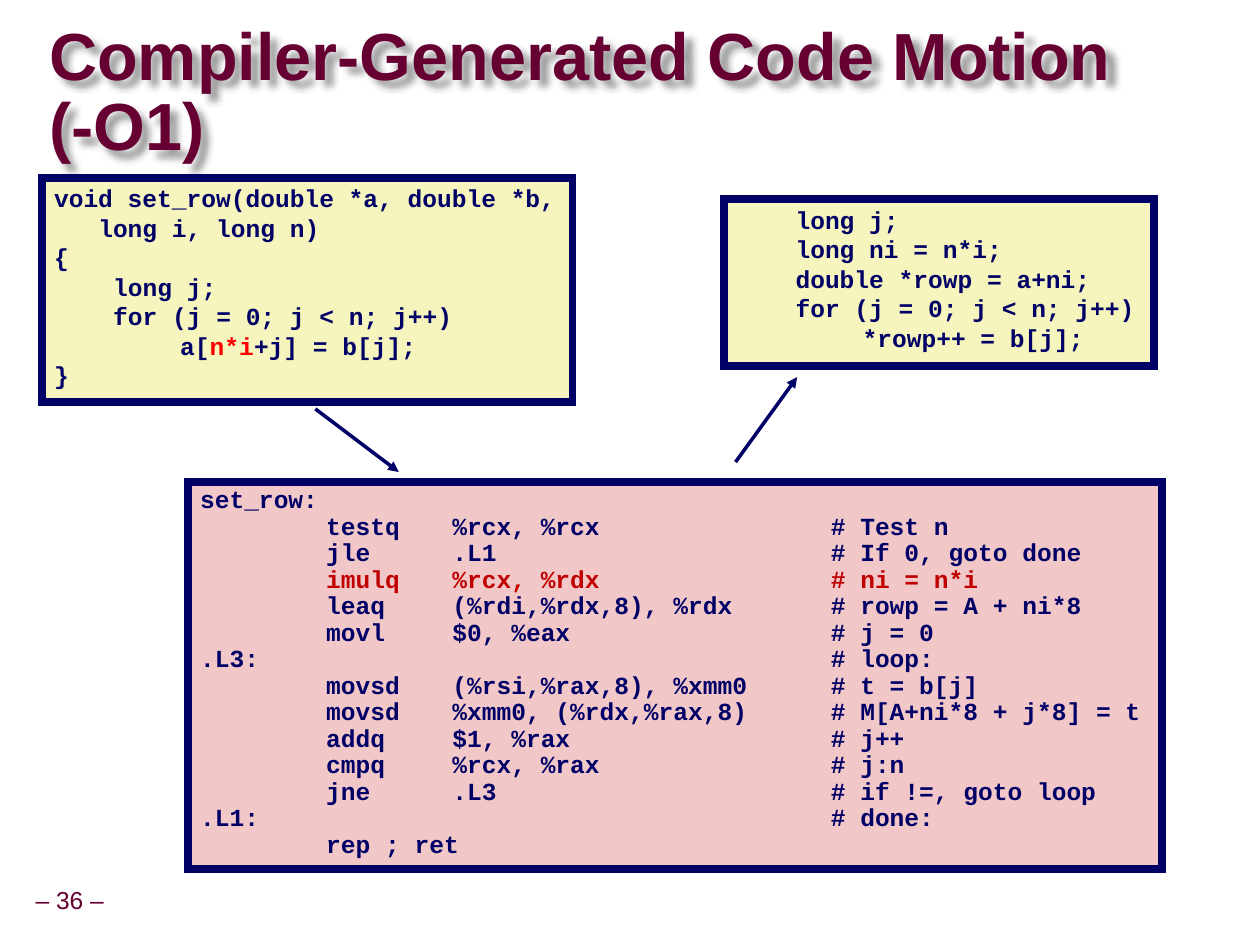
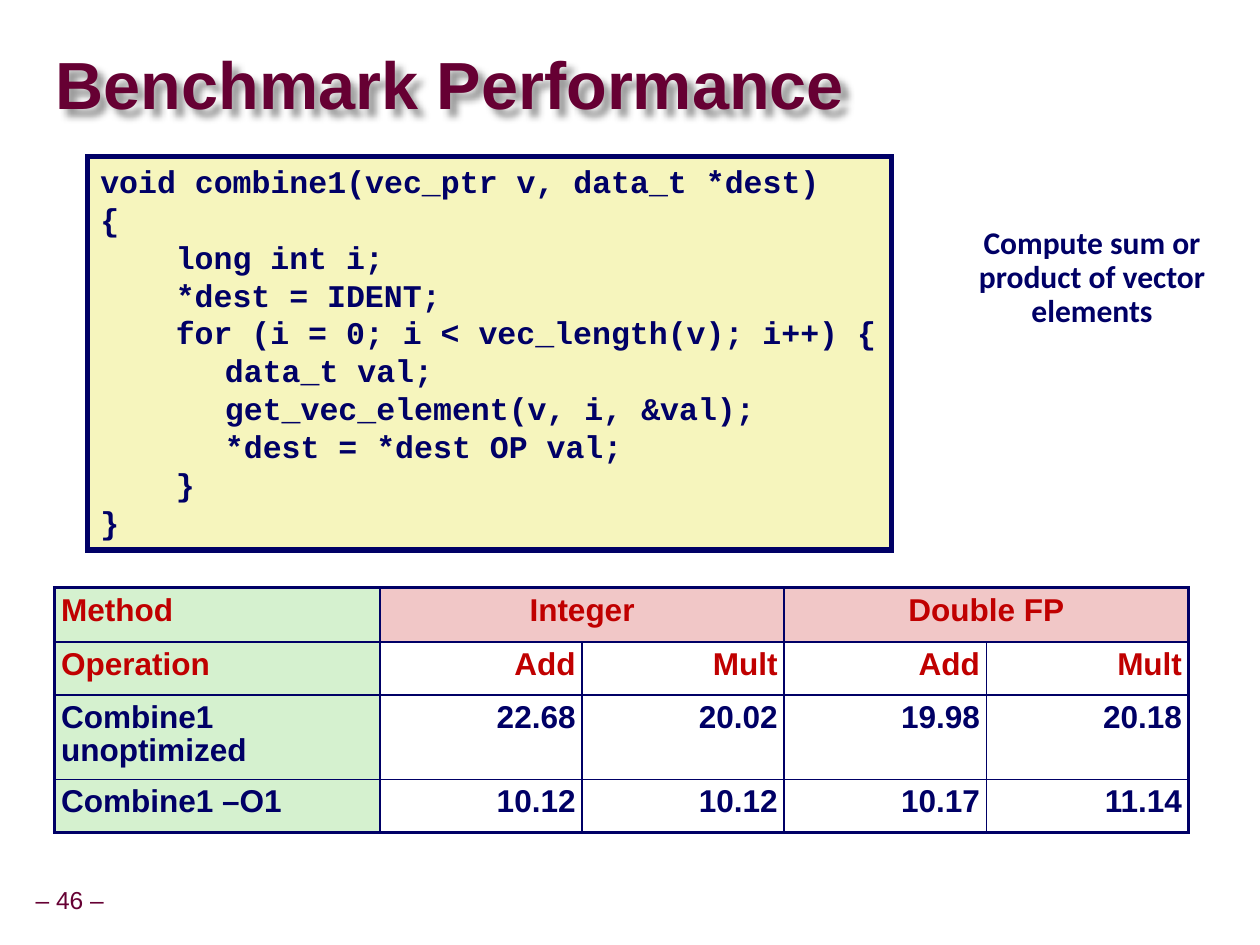
from pptx import Presentation, util as u
from pptx.dml.color import RGBColor
from pptx.enum import shapes, text
from pptx.oxml import parse_xml
from pptx.oxml.ns import nsdecls

NAVY, WINE, RED, HOT = "000066", "660033", "C00000", "FF0000"
CREAM, PINK, MINT, WHITE = "F6F5BD", "F1C7C7", "D5F1CF", "FFFFFF"
LEFT, MID, RIGHT = text.PP_ALIGN.LEFT, text.PP_ALIGN.CENTER, text.PP_ALIGN.RIGHT
TOP, HALF = text.MSO_ANCHOR.TOP, text.MSO_ANCHOR.MIDDLE
TAB = str(int(u.Cm(2.54)))


def hue(code):
    return RGBColor.from_string(code)


def put(item, **vals):
    for key, val in vals.items():
        setattr(item, key, val)


def node(tag, body="", attrs=""):
    return parse_xml(f"<a:{tag} {nsdecls('a')} {attrs}>{body}</a:{tag}>")


def cms(*vals):
    return [u.Cm(val) for val in vals]


class Deck:
    """Holds the shared style and the current slide."""

    def __init__(self):
        self.prs = Presentation()
        put(self.prs, slide_width=u.Cm(25.37), slide_height=u.Cm(19.02))
        for root in (self.prs.element, self.prs.slide_master.element):
            for level in root.iter("{*}lvl1pPr"):
                level.set("defTabSz", TAB)

    def page(self, num, title, box):
        self.slide = self.prs.slides.add_slide(self.prs.slide_layouts[5])
        head = self.slide.shapes.title
        put(head, **dict(zip(("left", "top", "width", "height"), cms(*box))))
        self.frame(head.text_frame, (0, 0, 0, 0), HALF)
        self.line(head.text_frame.paragraphs[0], [(title, WINE)], 38, gap=u.Pt(40))
        glow = ('<a:outerShdw blurRad="50800" dist="60000" dir="2700000">'
                '<a:srgbClr val="000000"><a:alpha val="40000"/></a:srgbClr></a:outerShdw>')
        head._element.spPr.append(node("effectLst", glow))
        self.note(f"– {num} –", (0.54, 17.74, 1.73, 0.81), 14, "Arial", WINE,
                  bold=False, wrap=False, anchor=HALF)

    def frame(self, body, pads, anchor=TOP, wrap=True):
        put(body, word_wrap=wrap, auto_size=text.MSO_AUTO_SIZE.NONE, vertical_anchor=anchor)
        sides = ("margin_left", "margin_top", "margin_right", "margin_bottom")
        put(body, **dict(zip(sides, cms(*pads))))

    def line(self, para, runs, size, face="Arial", bold=True, align=LEFT, gap=0.9):
        put(para, alignment=align, line_spacing=gap)
        for words, ink in runs:
            run = para.add_run()
            run.text = words
            put(run.font, size=u.Pt(size), name=face, bold=bold)
            run.font.color.rgb = hue(ink)

    def note(self, words, box, size, face, ink, bold=True, wrap=True, anchor=TOP):
        body = self.slide.shapes.add_textbox(*cms(*box)).text_frame
        self.frame(body, (0.13, 0.13, 0.13, 0.13), anchor, wrap)
        self.line(body.paragraphs[0], [(words, ink)], size, face, bold, MID)

    def code(self, lines, box, size, fill=CREAM, edge=4.5, gap=1.2):
        item = self.slide.shapes.add_shape(shapes.MSO_SHAPE.RECTANGLE, *cms(*box))
        item.shadow.inherit = False
        item.fill.solid()
        item.fill.fore_color.rgb = hue(fill)
        item.line.color.rgb = hue(NAVY)
        item.line.width = u.Pt(edge)
        item.line._get_or_add_ln().append(node("miter", attrs='lim="800000"'))
        body = item.text_frame
        self.frame(body, (0.25, 0.11, 0, 0.13))
        for num, (dent, *runs) in enumerate(lines):
            para = body.add_paragraph() if num else body.paragraphs[0]
            runs = [run if isinstance(run, tuple) else (run, NAVY) for run in runs]
            self.line(para, runs, size, "Courier New", gap=u.Pt(size * gap))
            props = para._p.get_or_add_pPr()
            for key, val in {"marL": u.Cm(dent), "indent": 0, "defTabSz": TAB}.items():
                props.set(key, str(val))

    def arrow(self, *ends):
        item = self.slide.shapes.add_connector(shapes.MSO_CONNECTOR.STRAIGHT, *cms(*ends))
        item.line.color.rgb = hue(NAVY)
        item.line.width = u.Pt(2)
        item.line._get_or_add_ln().append(node("tailEnd", attrs='type="triangle"'))
        item._element.spPr.append(node("effectLst"))

    def edges(self, cell, thick):
        props = cell._tc.get_or_add_tcPr()
        ink = f'<a:solidFill><a:srgbClr val="{NAVY}"/></a:solidFill>'
        for num, side in enumerate("LRTB"):
            wide = u.Pt(2.25 if side in thick else 1)
            props.insert(num, node(f"ln{side}", ink, f'w="{wide}"'))

    def table(self, rows, spot, cols, highs, spans):
        size = cms(sum(cols), sum(highs))
        grid = self.slide.shapes.add_table(len(rows), len(cols), *cms(*spot), *size).table
        put(grid, first_row=False, horz_banding=False)
        for key, part, vals in (("width", grid.columns, cols), ("height", grid.rows, highs)):
            for item, val in zip(part, vals):
                put(item, **{key: u.Cm(val)})
        for row, start, end in spans:
            grid.cell(row, start).merge(grid.cell(row, end))
        for y, row in enumerate(rows):
            for x, words in enumerate(row):
                cell = grid.cell(y, x)
                last = x + (cell.span_width if cell.is_merge_origin else 1) == len(cols)
                cell.fill.solid()
                cell.fill.fore_color.rgb = hue(MINT if x == 0 else WHITE if y else PINK)
                tests = {"L": x == 0, "R": last, "T": y == 0, "B": y == len(rows) - 1}
                self.edges(cell, [side for side, hit in tests.items() if hit])
                sides = ("left", "right", "top", "bottom")
                put(cell, **{f"margin_{side}": u.Cm(0.13) for side in sides})
                if words:
                    align = LEFT if x == 0 else RIGHT if y else MID
                    ink = RED if y < 2 else NAVY
                    self.line(cell.text_frame.paragraphs[0], [(words, ink)], 18,
                              align=align, gap=0.95)


def motion(deck):
    deck.page(36, "Compiler-Generated Code Motion (-O1)", (0.99, 0.84, 22.4, 2.11))
    asm = [
        "set_row:",
        "\ttestq\t%rcx, %rcx\t\t# Test n",
        "\tjle\t.L1\t\t\t# If 0, goto done",
        ("\timulq\t%rcx, %rdx\t\t# ni = n*i", RED),
        "\tleaq\t(%rdi,%rdx,8), %rdx\t# rowp = A + ni*8",
        "\tmovl\t$0, %eax\t\t\t# j = 0",
        ".L3:\t\t\t\t\t# loop:",
        "\tmovsd\t(%rsi,%rax,8), %xmm0\t# t = b[j]",
        "\tmovsd\t%xmm0, (%rdx,%rax,8)\t# M[A+ni*8 + j*8] = t",
        "\taddq\t$1, %rax\t\t\t# j++",
        "\tcmpq\t%rcx, %rax\t\t# j:n",
        "\tjne\t.L3\t\t\t# if !=, goto loop",
        ".L1:\t\t\t\t\t# done:",
        "\trep ; ret",
    ]
    deck.code([(0, row) for row in asm], (3.78, 9.7, 19.61, 7.8), 14, PINK, gap=1.08)
    deck.arrow(6.35, 8.23, 8.03, 9.5)
    deck.arrow(14.81, 9.3, 16.05, 7.59)
    deck.code([
        (1.19, "long j;"),
        (1.19, "long ni = n*i;"),
        (1.19, "double *rowp = a+ni;"),
        (1.19, "for (j = 0; j < n; j++)"),
        (2.54, "*rowp++ = b[j];"),
    ], (14.58, 4.01, 8.66, 3.35), 14)
    deck.code([
        (0, "void set_row(double *a, double *b,"),
        (0.89, "long i, long n)"),
        (0, "{"),
        (1.19, "long j;"),
        (1.19, "for (j = 0; j < n; j++)"),
        (2.54, "a[", ("n*i", HOT), "+j] = b[j];"),
        (0, "}"),
    ], (0.84, 3.58, 10.69, 4.52), 14)


def bench(deck):
    deck.page(46, "Benchmark Performance", (1.12, 0.69, 24.18, 2.16))
    deck.code([
        (0, "void combine1(vec_ptr v, data_t *dest)"),
        (0, "{"),
        (1.52, "long int i;"),
        (1.52, "*dest = IDENT;"),
        (1.52, "for (i = 0; i < vec_length(v); i++) {"),
        (2.51, "data_t val;"),
        (2.51, "get_vec_element(v, i, &val);"),
        (2.51, "*dest = *dest OP val;"),
        (1.52, "}"),
        (0, "}"),
    ], (1.77, 3.15, 16.18, 7.92), 18, edge=3)
    deck.note("Compute sum or product of vector elements", (18.61, 4.44, 6.76, 2.34),
              18, "Calibri", NAVY)
    deck.table([
        ("Method", "Integer", "", "Double FP", ""),
        ("Operation", "Add", "Mult", "Add", "Mult"),
        ("Combine1 unoptimized", "22.68", "20.02", "19.98", "20.18"),
        ("Combine1 –O1", "10.12", "10.12", "10.17", "11.14"),
    ], (1.1, 11.83), [6.55] + [4.07] * 4, (1.09, 1.07, 1.7, 1.07),
        [(0, 1, 2), (0, 3, 4)])


def main():
    deck = Deck()
    motion(deck)
    bench(deck)
    deck.prs.save("out.pptx")


if __name__ == "__main__":
    main()
